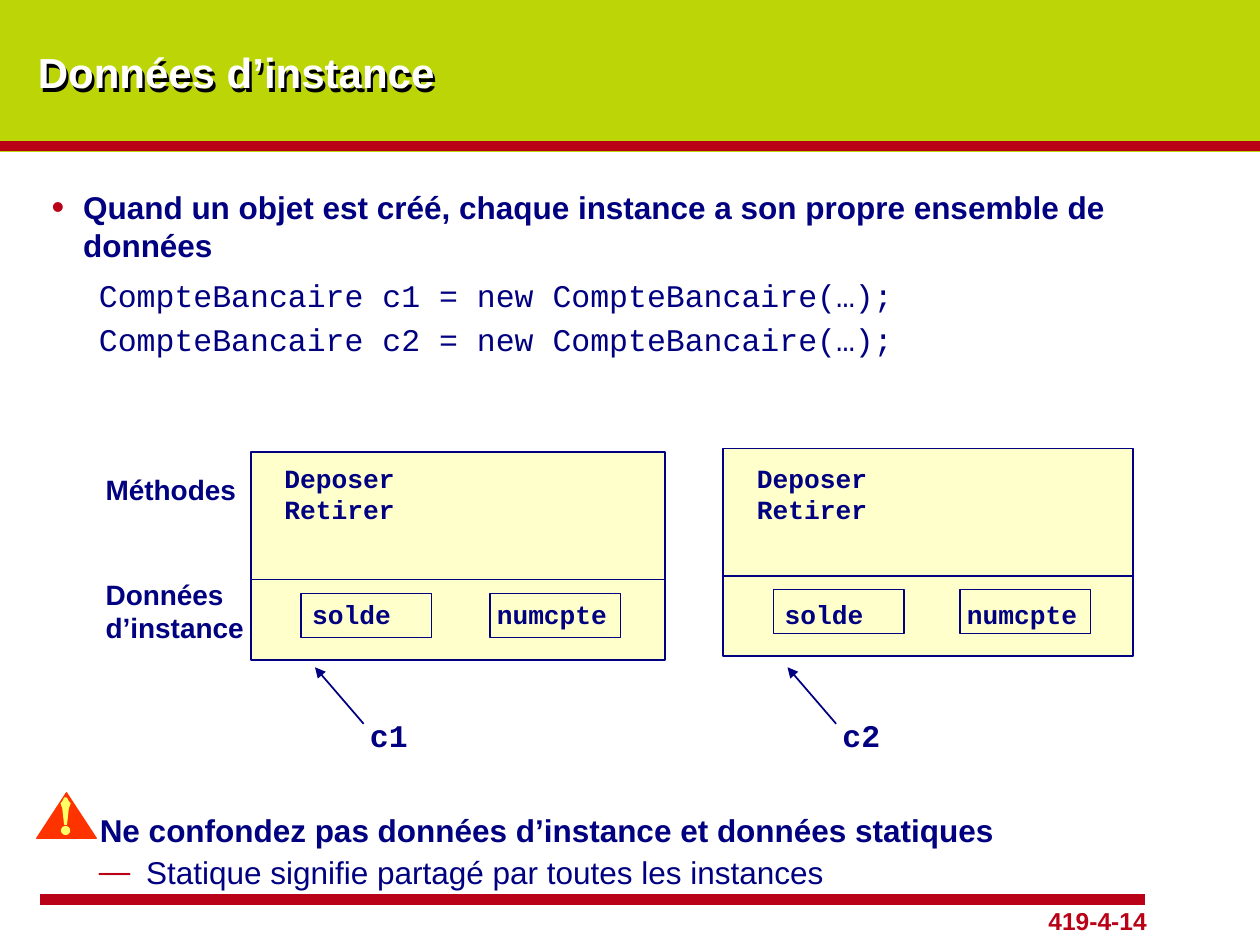
from lxml import etree
from pptx import Presentation
from pptx import util as u
from pptx.dml.color import RGBColor
from pptx.enum import shapes, text
from pptx.oxml.ns import qn

COLORS = {
    "green": "BCD507", "red": "B90117", "navy": "000080", "white": "FFFFFF",
    "cream": "FFFFCC", "orange": "FF3300", "yellow": "FFFF66", "black": "000000",
}
SANS, MONO = "Arial", "Courier New"


def color(name):
    return RGBColor.from_string(COLORS[name])


def add_xml(parent, tag, **attributes):
    return etree.SubElement(parent, qn(tag), attributes)


def write(para, words, size=18, face=SANS, tint="navy", bold=True, align=None,
          before=0, after=0, spacing=None, left=0, hang=0, bullet=None, bullet_size=100):
    """Fill one paragraph with one formatted run."""
    props = para._p.get_or_add_pPr()
    props.set("marL", str(u.Pt(left)))
    props.set("indent", str(u.Pt(-hang)))
    para.space_before, para.space_after = u.Pt(before), u.Pt(after)
    para.line_spacing, para.alignment = spacing, align
    if bullet:
        add_xml(add_xml(props, "a:buClr"), "a:srgbClr", val=COLORS["red"])
        add_xml(props, "a:buSzPct", val=str(bullet_size * 1000))
        add_xml(props, "a:buFont", typeface=SANS)
        add_xml(props, "a:buChar", char=bullet)
    else:
        add_xml(props, "a:buNone")
    span = para.add_run()
    span.text = words
    span.font.size, span.font.name, span.font.bold = u.Pt(size), face, bold
    span.font.color.rgb = color(tint)


class Slide:
    def __init__(self, deck):
        self.page = deck.slides.add_slide(deck.slide_layouts[1])
        self.page.background.fill.solid()
        self.page.background.fill.fore_color.rgb = color("green")

    def placeholder(self, index, left, top, width, height, anchor):
        box = self.page.placeholders[index]
        box.left, box.top, box.width, box.height = map(u.Pt, (left, top, width, height))
        frame = box.text_frame
        frame.auto_size, frame.word_wrap = text.MSO_AUTO_SIZE.NONE, True
        frame.vertical_anchor = anchor
        return box

    def label(self, left, top, width, height, *lines, wrap=True, **style):
        box = self.page.shapes.add_textbox(*map(u.Pt, (left, top, width, height)))
        frame = box.text_frame
        frame.word_wrap = wrap
        for number, words in enumerate(lines):
            para = frame.add_paragraph() if number else frame.paragraphs[0]
            write(para, words, **style)

    def paint(self, shape, fill, line=None, weight=1):
        shape.shadow.inherit = False
        shape.fill.solid()
        shape.fill.fore_color.rgb = color(fill)
        if line:
            shape.line.color.rgb = color(line)
            shape.line.width = u.Pt(weight)
        else:
            shape.line.fill.background()

    def shape(self, left, top, width, height, fill, line=None, weight=1,
              kind=shapes.MSO_SHAPE.RECTANGLE):
        box = self.page.shapes.add_shape(kind, *map(u.Pt, (left, top, width, height)))
        self.paint(box, fill, line, weight)

    def outline(self, points, fill):
        builder = self.page.shapes.build_freeform(*points[0], scale=u.Pt(1))
        builder.add_line_segments(points[1:], close=True)
        self.paint(builder.convert_to_shape(), fill, fill, 0.75)

    def line(self, x1, y1, x2, y2, tint, weight, arrow=False):
        line = self.page.shapes.add_connector(
            shapes.MSO_CONNECTOR.STRAIGHT, *map(u.Pt, (x1, y1, x2, y2)))
        line.line.color.rgb = color(tint)
        line.line.width = u.Pt(weight)
        if arrow:
            add_xml(line.line._get_or_add_ln(), "a:tailEnd", type="triangle")
        add_xml(line._element.spPr, "a:effectLst")

    def instance(self, name, left, top, width, field_gap):
        """An object: methods above, data fields below, and its reference."""
        self.shape(left, top, width, 72.7, "cream", "navy")
        self.shape(left, top + 72.7, width, 46, "cream", "navy")
        self.label(left + 12.2, 260.6, 105, 61, "Deposer", "Retirer", size=15, face=MONO)
        for number, field in enumerate(("solde", "numcpte")):
            offset = number * field_gap
            self.shape(left + 28.8 + offset, top + 80.6, 74.5, 25.2, "cream", "navy")
            self.label(left + 28 + offset - 2.5 * number, 338.2, 85, 25.2, field,
                       size=15, face=MONO)
        self.line(left + 64.5, 413.6, left + 36.7, 381.3, "navy", 1, arrow=True)
        self.label(left + 61, 405.4, 36, 28.8, name, face=MONO, wrap=False)


def main():
    deck = Presentation()
    deck.slide_width, deck.slide_height = u.Pt(720), u.Pt(540)
    slide = Slide(deck)

    # Title: without a fill, the shadow of the box falls from its letters
    title = slide.placeholder(0, 14.4, 12.6, 613.4, 56.9, text.MSO_ANCHOR.MIDDLE)
    write(title.text_frame.paragraphs[0], "Données d’instance", size=24, tint="white",
          align=text.PP_ALIGN.LEFT)
    title.fill.background()
    effects = add_xml(title._element.spPr, "a:effectLst")
    shadow = add_xml(effects, "a:outerShdw", dist=str(u.Pt(2.8)), dir="3600000",
                     algn="ctr", rotWithShape="0")
    add_xml(shadow, "a:srgbClr", val=COLORS["black"])

    # Body list, with a gap for the diagram
    body = slide.placeholder(1, 22.3, 103.7, 676.8, 405, text.MSO_ANCHOR.TOP)
    code = dict(face=MONO, bold=False, before=4, left=27)
    items = [
        ("Quand un objet est créé, chaque instance a son propre ensemble de données",
         dict(after=3, left=18, hang=18, bullet="•", bullet_size=115)),
        ("CompteBancaire c1 = new CompteBancaire(…);", code),
        ("CompteBancaire c2 = new CompteBancaire(…);", code),
        ("Ne confondez pas données d’instance et données statiques",
         dict(before=259, left=27.5)),
        ("Statique signifie partagé par toutes les instances",
         dict(bold=False, before=2, left=54, hang=27, bullet="—")),
    ]
    frame = body.text_frame
    for number, (words, style) in enumerate(items):
        para = frame.add_paragraph() if number else frame.paragraphs[0]
        write(para, words, spacing=1.0, **style)

    # White page area, rules and page number, kept behind the placeholders
    slide.shape(0, 87, 720, 453, "white")
    slide.label(548.6, 514, 113.8, 23.8, "419-4-14", size=14, tint="red",
                align=text.PP_ALIGN.RIGHT)
    slide.line(23, 514, 654.5, 514, "red", 6)
    slide.line(0, 83.5, 720, 83.5, "red", 6)
    for box in (title, body):
        slide.page.shapes._spTree.append(box._element)

    # Two instances and the row labels
    slide.instance("c2", 413.3, 256.3, 234, 106.6)
    slide.instance("c1", 143.3, 258.5, 236.9, 108)
    slide.label(53.3, 326.2, 102.2, 46, "Données d’instance", size=16)
    slide.label(53.3, 266.4, 102.2, 26.6, "Méthodes", size=16)

    # Warning sign: the stem is mirrored about its axis
    slide.outline([(37.7, 453), (54.7, 478.6), (20.9, 478.6)], "orange")
    axis = 37.5
    half = [(0.7, 456.5), (1.8, 457.6), (2.2, 459.4), (1.8, 462.5), (0.7, 470.9)]
    stem = [(axis + x, y) for x, y in half] + [(axis - x, y) for x, y in reversed(half)]
    slide.outline(stem, "yellow")
    slide.shape(axis - 2.3, 472.3, 4.6, 4.5, "yellow", "yellow", 0.75,
                kind=shapes.MSO_SHAPE.OVAL)

    deck.save("out.pptx")


if __name__ == "__main__":
    main()
